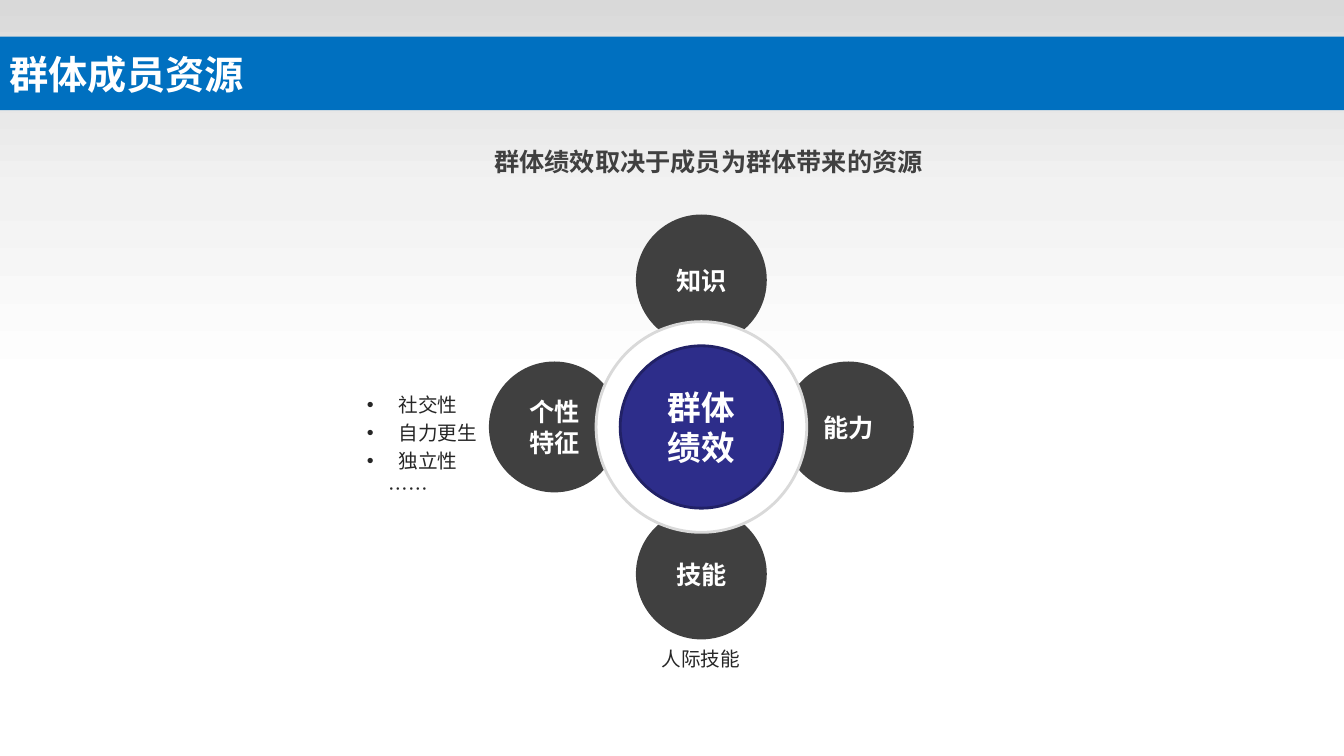
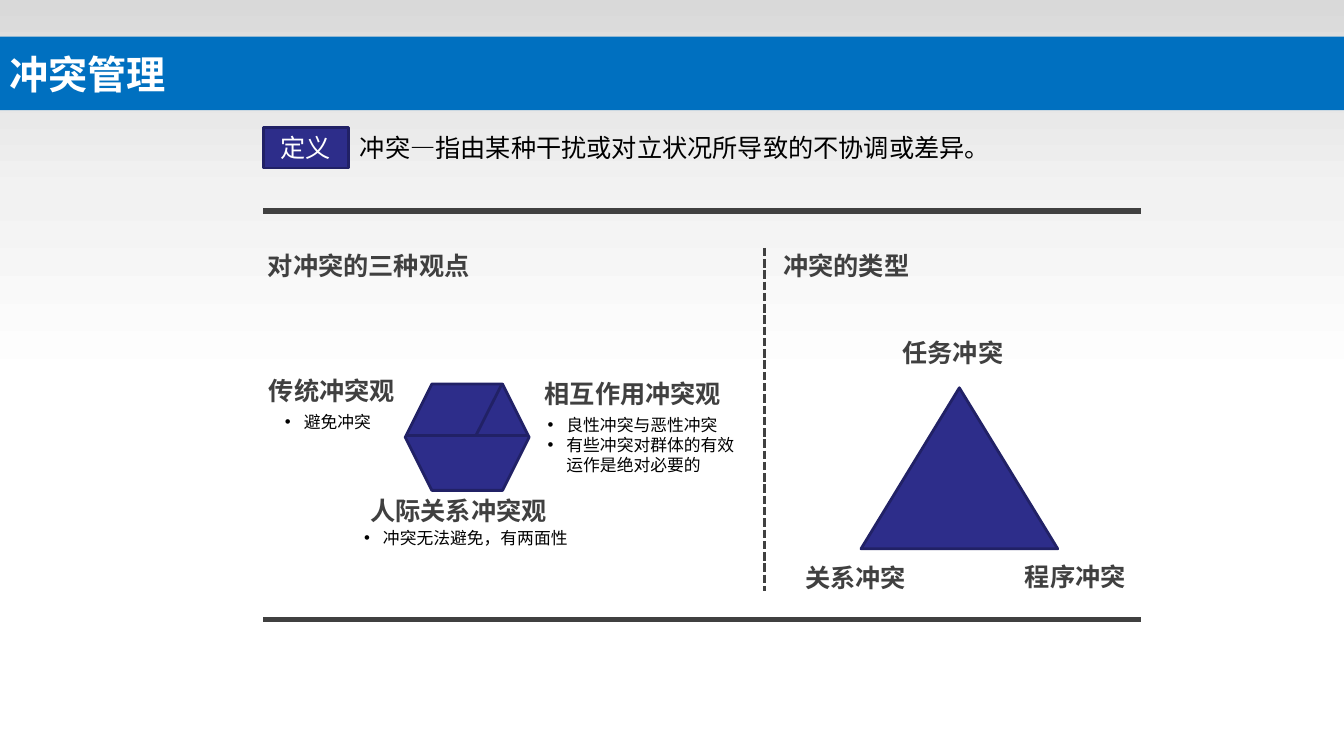
from copy import deepcopy

from lxml import etree
from pptx import Presentation
from pptx.dml.color import RGBColor
from pptx.enum.dml import MSO_LINE
from pptx.enum.shapes import MSO_CONNECTOR, MSO_SHAPE
from pptx.enum.text import MSO_ANCHOR, MSO_AUTO_SIZE, PP_ALIGN
from pptx.oxml.ns import qn
from pptx.util import Pt

RECTANGLE = MSO_SHAPE.RECTANGLE
OVAL = MSO_SHAPE.OVAL
HEXAGON = MSO_SHAPE.HEXAGON
TRIANGLE = MSO_SHAPE.ISOSCELES_TRIANGLE
STRAIGHT = MSO_CONNECTOR.STRAIGHT
DASHED = MSO_LINE.SQUARE_DOT
LEFT, CENTER = PP_ALIGN.LEFT, PP_ALIGN.CENTER
MIDDLE = MSO_ANCHOR.MIDDLE
NO_AUTOFIT = MSO_AUTO_SIZE.NONE

SANS = "Noto Sans CJK SC"
ARIAL = "Arial"
SLIDE_WIDTH, SLIDE_HEIGHT = 960, 540
COLORS = {
    name: RGBColor.from_string(value)
    for name, value in {
        "white": "FFFFFF",
        "black": "000000",
        "text": "262626",
        "dark": "404040",
        "pale": "F2F2F2",
        "gray": "D9D9D9",
        "blue": "0070C0",
        "navy": "2D2D8A",
        "outline": "212166",
    }.items()
}
GRADIENT = ((0, "gray"), (0.5, "pale"), (1, "white"))


def write_text(shape, lines, size, color, bold=False, font=ARIAL, align=LEFT,
               spacing=None, bullet=None):
    """Fill a shape with paragraphs; bullet is (left margin, hanging indent)."""
    frame = shape.text_frame
    frame.word_wrap = True
    frame.text = "\n".join(lines)
    for paragraph in frame.paragraphs:
        paragraph.alignment = align
        if spacing:
            paragraph.line_spacing = spacing
        if bullet:
            properties = paragraph._p.get_or_add_pPr()
            properties.set("marL", str(Pt(bullet[0])))
            properties.set("indent", str(-Pt(bullet[1])))
            etree.SubElement(properties, qn("a:buFont"), typeface=ARIAL)
            etree.SubElement(properties, qn("a:buChar"), char="•")
        for run in paragraph.runs:
            run.font.size = Pt(size)
            run.font.bold = bold
            run.font.color.rgb = COLORS[color]
            run.font.name = font
            etree.SubElement(run._r.get_or_add_rPr(), qn("a:ea"), typeface=SANS)


def draw_shape(shapes, kind, box, fill, outline=None):
    shape = shapes.add_shape(kind, *map(Pt, box))
    shape.shadow.inherit = False
    shape.fill.solid()
    shape.fill.fore_color.rgb = COLORS[fill]
    if outline:
        shape.line.color.rgb = COLORS[outline]
        shape.line.width = Pt(2)
    else:
        shape.line.fill.background()
    return shape


presentation = Presentation()
presentation.slide_width = Pt(SLIDE_WIDTH)
presentation.slide_height = Pt(SLIDE_HEIGHT)
layout = presentation.slide_layouts[5]

# Slides with their gradient backdrops and title bands
slides = []
for title_text in ("群体成员资源", "冲突管理"):
    slide = presentation.slides.add_slide(layout)
    backdrop = draw_shape(slide.shapes, RECTANGLE, (0, 0, SLIDE_WIDTH, 276), "gray")
    backdrop.fill.gradient()
    backdrop.fill.gradient_angle = 270
    stop_list = backdrop.element.spPr.find(qn("a:gradFill")).find(qn("a:gsLst"))
    stop_list.insert(1, deepcopy(stop_list[0]))
    for stop, (position, color) in zip(backdrop.fill.gradient_stops, GRADIENT):
        stop.position = position
        stop.color.rgb = COLORS[color]

    title = slide.shapes.title
    title.element.addprevious(backdrop.element)
    title.left, title.top, title.width, title.height = map(Pt, (0, 26.2, SLIDE_WIDTH, 52.5))
    title.fill.solid()
    title.fill.fore_color.rgb = COLORS["blue"]
    title.text_frame.auto_size = NO_AUTOFIT
    title.text_frame.vertical_anchor = MIDDLE
    title.text_frame.margin_left = Pt(6.5)
    write_text(title, [title_text], 28, "white", bold=True, font=SANS)
    slides.append(slide)
resources, conflict = slides

# Slide 1: four resources around group performance
center_x, center_y, reach = 501, 305, 105
subtitle = resources.shapes.add_textbox(Pt(346), Pt(96.5), Pt(360), Pt(35))
write_text(subtitle, ["群体绩效取决于成员为群体带来的资源"], 18, "dark", bold=True, spacing=1.2)

circles = (
    ("知识", 0, -reach, 93.5, "dark", None, 18),
    ("能力", reach, 0, 93.5, "dark", None, 18),
    ("技能", 0, reach, 93.5, "dark", None, 18),
    ("个性特征", -reach, 0, 93.5, "dark", None, 18),
    ("", 0, 0, 150.5, "white", "gray", 18),
    ("群体绩效", 0, 0, 116, "navy", "outline", 24),
)
for label, shift_x, shift_y, diameter, fill, outline, size in circles:
    box = (center_x + shift_x - diameter / 2, center_y + shift_y - diameter / 2,
           diameter, diameter)
    circle = draw_shape(resources.shapes, OVAL, box, fill, outline)
    if label:
        write_text(circle, [label], size, "white", bold=True, font=SANS, align=CENTER)

skill_note = resources.shapes.add_textbox(Pt(465.5), Pt(458.5), Pt(75), Pt(24))
write_text(skill_note, ["人际技能"], 14, "text", font=SANS)

traits = resources.shapes.add_textbox(Pt(219), Pt(273.5), Pt(144), Pt(68))
write_text(traits, ["社交性", "自力更生", "独立性"], 14, "text", font=SANS,
           spacing=1.2, bullet=(58.5, 22.5))
ellipsis = resources.shapes.add_textbox(Pt(270.5), Pt(333.5), Pt(60), Pt(28))
write_text(ellipsis, ["……"], 14, "text", font=SANS, spacing=1.2)

# Slide 2: definition, views and types of conflict
definition_tag = draw_shape(conflict.shapes, RECTANGLE, (188, 91, 61, 29), "navy", "outline")
write_text(definition_tag, ["定义"], 18, "white", align=CENTER)
definition = conflict.shapes.add_textbox(Pt(250), Pt(91), Pt(567), Pt(29))
write_text(definition, ["冲突—指由某种干扰或对立状况所导致的不协调或差异。"], 18, "black")

headings = (
    ("对冲突的三种观点", 184.3, 175),
    ("冲突的类型", 552.5, 175),
    ("传统冲突观", 185, 264.5),
    ("人际关系冲突观", 257.5, 350),
    ("相互作用冲突观", 382, 267),
    ("任务冲突", 637.5, 237.5),
    ("关系冲突", 568, 398),
    ("程序冲突", 725, 397.5),
)
for text, left, top in headings:
    heading = conflict.shapes.add_textbox(Pt(left), Pt(top), Pt(18 * len(text) + 18), Pt(29))
    write_text(heading, [text], 18, "dark", bold=True)

bullet_lists = (
    (["避免冲突"], 196.5, 290.5, 80, 22),
    (["冲突无法避免，有两面性"], 253, 373.5, 165, 22),
    (["良性冲突与恶性冲突", "有些冲突对群体的有效运作是绝对必要的"], 384, 292.5, 156, 68),
)
for lines, *box in bullet_lists:
    points = conflict.shapes.add_textbox(*map(Pt, box))
    write_text(points, lines, 12, "black", bullet=(13.5, 13.5))

draw_shape(conflict.shapes, TRIANGLE, (615, 277, 140.5, 115), "navy", "outline")
views = conflict.shapes.add_group_shape()
draw_shape(views.shapes, HEXAGON, (289.5, 274.3, 88.5, 76), "navy", "outline")

connectors = (
    (views, (289.5, 311, 378, 311), "outline", 2, None),
    (views, (358.5, 274.3, 340, 311), "outline", 2, None),
    (conflict, (546, 177, 546, 422), "dark", 2, DASHED),
    (conflict, (188, 150.7, 815, 150.7), "dark", 4, None),
    (conflict, (188, 442.5, 815, 442.5), "dark", 4, None),
)
for parent, ends, color, width, dash in connectors:
    connector = parent.shapes.add_connector(STRAIGHT, *map(Pt, ends))
    connector.line.color.rgb = COLORS[color]
    connector.line.width = Pt(width)
    if dash:
        connector.line.dash_style = dash
    etree.SubElement(connector.element.spPr, qn("a:effectLst"))

presentation.save("out.pptx")
